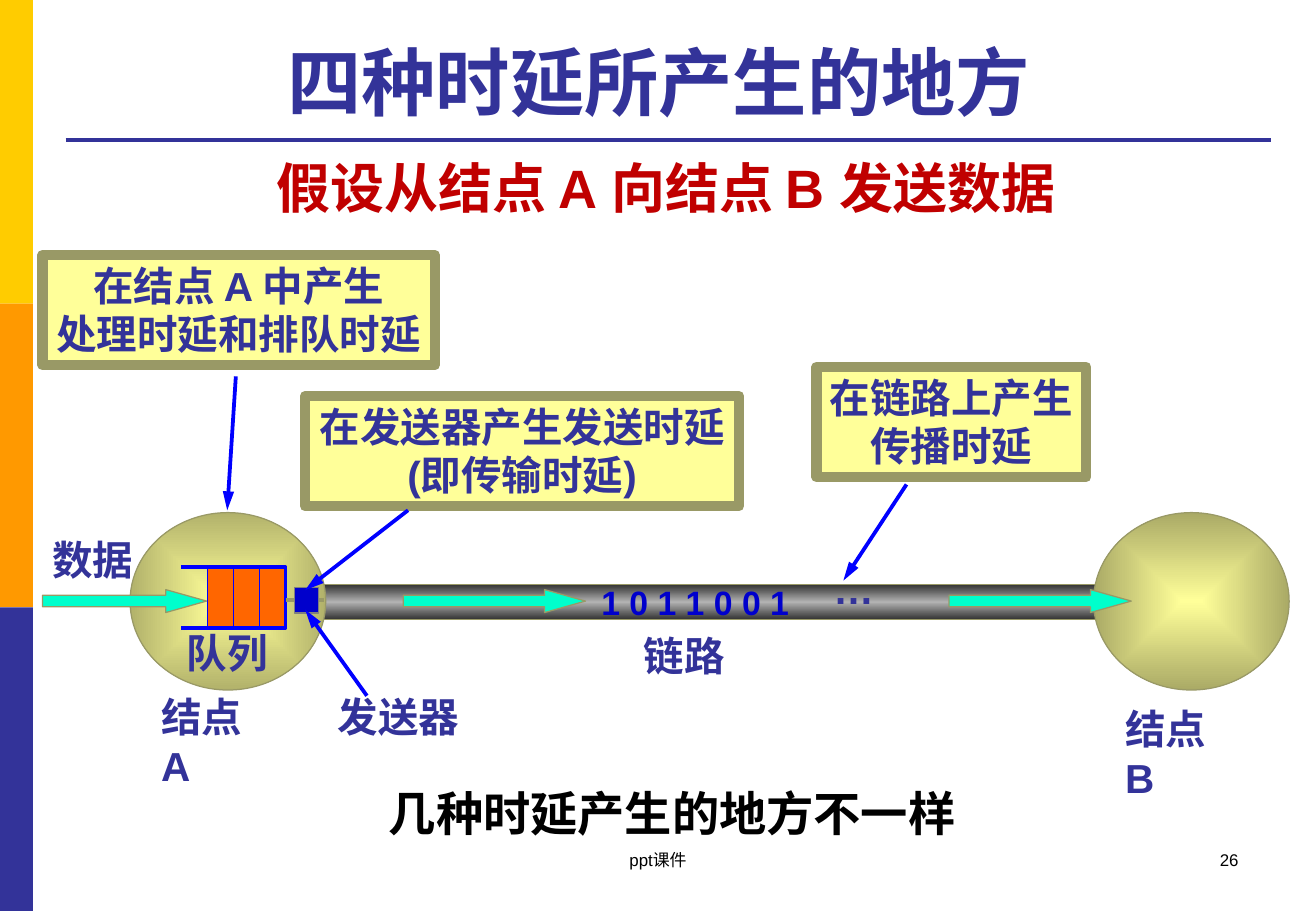
from lxml import etree
from pptx import Presentation
from pptx.dml.color import RGBColor
from pptx.enum.shapes import MSO_CONNECTOR, MSO_SHAPE
from pptx.enum.text import MSO_ANCHOR, MSO_AUTO_SIZE, PP_ALIGN
from pptx.oxml import parse_xml
from pptx.oxml.ns import nsdecls, qn
from pptx.util import Cm, Pt

RECTANGLE = MSO_SHAPE.RECTANGLE
OVAL = MSO_SHAPE.OVAL
RIGHT_ARROW = MSO_SHAPE.RIGHT_ARROW
STRAIGHT = MSO_CONNECTOR.STRAIGHT
LEFT, CENTER, RIGHT = PP_ALIGN.LEFT, PP_ALIGN.CENTER, PP_ALIGN.RIGHT
FONT = "Arial"
COLORS = {
    "yellow": "FFCC00", "amber": "FF9900", "indigo": "333399",
    "olive": "999966", "cream": "FFFF99", "node_a_edge": "B2B26B",
    "node_b_edge": "AAAA66", "pipe_dark": "313131", "pipe_light": "B2B2B2",
    "orange": "FF6600", "blue": "0000FF", "navy": "0000CC",
    "gray": "7F7F7F", "mint": "00FFCC", "red": "C00000", "black": "000000",
}
LINEAR = '<a:lin ang="5400000" scaled="0"/>'
FROM_CENTER = ('<a:path path="shape"><a:fillToRect l="50000" t="50000" '
               'r="50000" b="50000"/></a:path>')


def rgb(name):
    return RGBColor.from_string(COLORS[name])


def add_run(paragraph, text, size, color, bold=True):
    run = paragraph.add_run()
    run.text = text
    run.font.name = FONT
    run.font.size = Pt(size)
    run.font.bold = bold
    run.font.color.rgb = rgb(color)


def add_block(slide, kind, box, fill, line="olive", line_width=0.75):
    """Add a preset shape; without a line colour it has no outline."""
    shape = slide.shapes.add_shape(kind, *map(Cm, box))
    shape.shadow.inherit = False
    shape.fill.solid()
    shape.fill.fore_color.rgb = rgb(fill)
    if line:
        shape.line.color.rgb = rgb(line)
        shape.line.width = Pt(line_width)
    else:
        shape.line.fill.background()
    return shape


def set_gradient(shape, colors, direction):
    """Replace the solid fill by evenly spaced gradient stops."""
    step = 100000 // (len(colors) - 1)
    stops = "".join(
        f'<a:gs pos="{index * step}"><a:srgbClr val="{COLORS[color]}"/></a:gs>'
        for index, color in enumerate(colors))
    gradient = parse_xml(
        f'<a:gradFill {nsdecls("a")} rotWithShape="1">'
        f'<a:gsLst>{stops}</a:gsLst>{direction}</a:gradFill>')
    properties = shape.element.spPr
    properties.replace(properties.find(qn("a:solidFill")), gradient)


def add_line(slide, start, end, color="blue", width=2.25, arrow=False):
    line = slide.shapes.add_connector(STRAIGHT, *map(Cm, start + end))
    line.line.color.rgb = rgb(color)
    line.line.width = Pt(width)
    properties = line.element.spPr
    if arrow:
        etree.SubElement(properties.find(qn("a:ln")), qn("a:tailEnd"),
                         type="triangle", w="med", len="lg")
    etree.SubElement(properties, qn("a:effectLst"))


def add_text(slide, box, runs, align=LEFT, wrap=False, bold=True):
    """Add one paragraph made of (text, size, colour) runs."""
    frame = slide.shapes.add_textbox(*map(Cm, box)).text_frame
    frame.word_wrap = wrap
    paragraph = frame.paragraphs[0]
    paragraph.alignment = align
    for text, size, color in runs:
        add_run(paragraph, text, size, color, bold)


def add_label(slide, left, top, width, text):
    add_text(slide, (left, top, width, 1.3), [(text, 24, "indigo")])


def add_callout(slide, box, lines):
    frame = add_block(slide, RECTANGLE, box, "cream", line_width=6).text_frame
    frame.word_wrap = False
    frame.vertical_anchor = MSO_ANCHOR.TOP
    for index, text in enumerate(lines):
        paragraph = frame.add_paragraph() if index else frame.paragraphs[0]
        paragraph.alignment = CENTER
        add_run(paragraph, text, 24, "indigo")


def add_frame(slide):
    """Add the side bands, title, title rule and footer."""
    for index, color in enumerate(("yellow", "amber", "indigo")):
        add_block(slide, RECTANGLE, (0, index * 6.35, 0.69, 6.35), color, None)
    add_line(slide, (1.37, 2.92), (26.57, 2.92), "indigo")
    title = slide.shapes.title
    title.left, title.top, title.width, title.height = map(
        Cm, (1.37, 0.53, 25.17, 2.21))
    frame = title.text_frame
    frame.auto_size = MSO_AUTO_SIZE.NONE
    frame.vertical_anchor = MSO_ANCHOR.BOTTOM
    paragraph = frame.paragraphs[0]
    paragraph.alignment = CENTER
    add_run(paragraph, "四种时延所产生的地方 ", 44, "indigo")
    add_text(slide, (9.4, 17.65, 8.71, 1.27), [("ppt课件", 10, "black")],
             CENTER, True, False)
    add_text(slide, (19.71, 17.65, 6.43, 1.27), [("26", 10, "black")],
             RIGHT, True, False)


def add_queue(slide):
    left, top, right, height = 4.34, 11.86, 5.97, 1.27
    bottom, cells = top + height, 3
    add_block(slide, RECTANGLE, (left, top, right - left, height),
              "orange", "blue")
    builder = slide.shapes.build_freeform(Cm(3.78), Cm(top))
    builder.add_line_segments(
        [(Cm(right), Cm(top)), (Cm(right), Cm(bottom)), (Cm(3.78), Cm(bottom))],
        close=False)
    outline = builder.convert_to_shape()
    outline.shadow.inherit = False
    outline.fill.background()
    outline.line.color.rgb = rgb("blue")
    outline.line.width = Pt(2.25)
    for index in range(cells):
        x = left + index * (right - left) / cells
        add_line(slide, (x, top), (x, bottom), width=0.75)


def add_network(slide):
    pipe = add_block(slide, RECTANGLE, (6.53, 12.22, 16.61, 0.74), "pipe_dark")
    set_gradient(pipe, ("pipe_dark", "pipe_light", "pipe_dark"), LINEAR)
    for left, edge in ((2.72, "node_a_edge"), (22.86, "node_b_edge")):
        node = add_block(slide, OVAL, (left, 10.72, 4.09, 3.71), "cream")
        set_gradient(node, ("cream", edge), FROM_CENTER)
    add_queue(slide)
    add_line(slide, (5.97, 12.55), (6.78, 12.55), "olive")
    add_block(slide, RECTANGLE, (6.15, 12.29, 0.51, 0.53), "navy", "gray")
    for left, width in ((8.43, 3.81), (0.89, 3.43), (19.84, 3.81)):
        arrow = add_block(slide, RIGHT_ARROW, (left, 12.33, width, 0.48), "mint")
        arrow.adjustments[0] = 0.5
        arrow.adjustments[1] = 1.78


def add_annotations(slide):
    add_text(slide, (12.32, 12.04, 4.47, 1.12),
             [("1 0 1 1 0 0 1", 20, "navy")])
    for label in ((17.17, 11.68, 1.37, "…"), (6.81, 14.35, 3.07, "发送器"),
                  (3.66, 13, 2.24, "队列"), (0.84, 11.07, 2.24, "数据"),
                  (13.21, 13.08, 2.24, "链路")):
        add_label(slide, *label)
    for left, top, letter in ((3.12, 14.35, "A"), (23.27, 14.6, "B")):
        add_text(slide, (left, top, 2.6, 2.31),
                 [("结点", 24, "indigo"), (" ", 16, "indigo"),
                  (letter, 24, "indigo")], wrap=True)
    for box, lines in (
            ((17.07, 7.67, 5.64, 2.31), ("在链路上产生", "传播时延")),
            ((6.38, 8.28, 9.07, 2.31), ("在发送器产生发送时延", "(即传输时延)")),
            ((0.89, 5.33, 8.2, 2.31), ("在结点 A 中产生", "处理时延和排队时延"))):
        add_callout(slide, box, lines)
    for start, end in (((18.95, 10.13), (17.63, 12.14)),
                       ((8.53, 10.67), (6.38, 12.34)),
                       ((7.67, 14.55), (6.38, 12.75)),
                       ((4.93, 7.87), (4.75, 10.67))):
        add_line(slide, start, end, arrow=True)
    add_text(slide, (3.78, 3.1, 20.29, 1.63),
             [("假设从结点 A 向结点 B 发送数据", 32, "red")], CENTER, True)
    add_text(slide, (7.75, 16.28, 12.6, 1.45),
             [("几种时延产生的地方不一样", 28, "black")], CENTER, True)


def main():
    presentation = Presentation()
    presentation.slide_width = Cm(27.51)
    presentation.slide_height = Cm(19.05)
    slide = presentation.slides.add_slide(presentation.slide_layouts[5])
    add_frame(slide)
    add_network(slide)
    add_annotations(slide)
    presentation.save("out.pptx")


if __name__ == "__main__":
    main()
